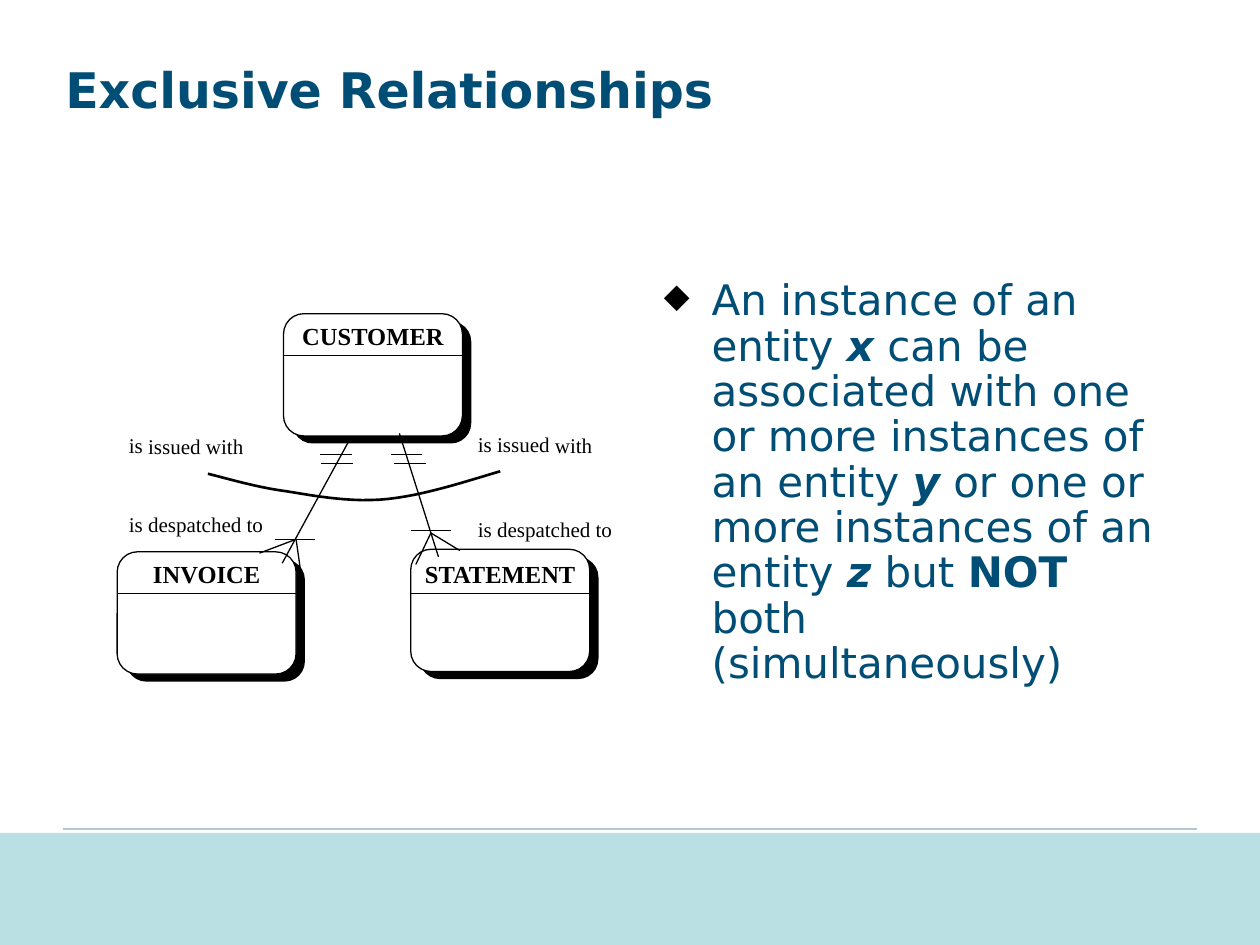
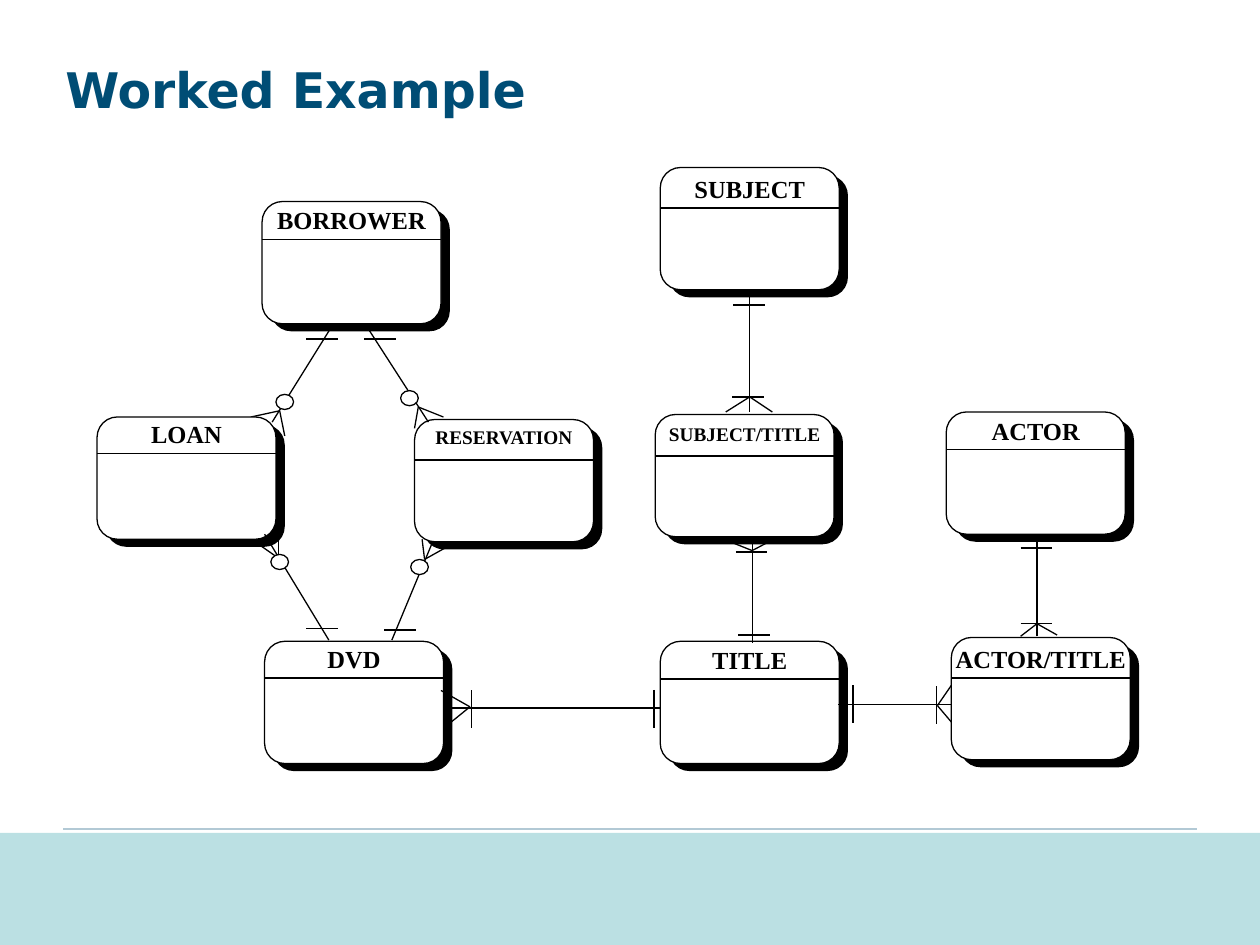
"""Build two slides on entity relationships with crow's-foot diagrams."""
from lxml.etree import SubElement
from pptx import Presentation
from pptx.dml.color import RGBColor
from pptx.enum.shapes import MSO_CONNECTOR, MSO_SHAPE
from pptx.enum.text import PP_ALIGN
from pptx.oxml.ns import qn
from pptx.util import Emu, Inches, Pt

COLUMNS, ROWS = 100, 75
INK, NAVY, PAPER = "000000", "004D75", "FFFFFF"
RULE, BAND = "B2C9D5", "BBE0E3"
HEADING_FONT, DIAGRAM_FONT = "DejaVu Sans", "Times New Roman"
CARD_WIDTH, CARD_HEIGHT = 14.2, 9.7


def color(hex_code):
    return RGBColor.from_string(hex_code)


def bezier(start, control_a, control_b, end, steps=12):
    """Return the points of a cubic curve after its start."""
    points = []
    for step in range(1, steps + 1):
        t = step / steps
        weights = ((1 - t) ** 3, 3 * t * (1 - t) ** 2, 3 * t ** 2 * (1 - t), t ** 3)
        corners = (start, control_a, control_b, end)
        points.append(tuple(sum(w * c[axis] for w, c in zip(weights, corners)) for axis in (0, 1)))
    return points


def write(frame, runs, font=DIAGRAM_FONT, size=12, ink=INK, bold=False,
          align=PP_ALIGN.LEFT, spacing=None, bullet=None):
    """Fill a text frame with (text, bold, italic) runs or a plain string."""
    frame.word_wrap = True
    paragraph = frame.paragraphs[0]
    if bullet:
        properties = paragraph._p.get_or_add_pPr()
        properties.set("marL", str(Inches(0.38)))
        properties.set("indent", str(Inches(-0.38)))
        bullet_color = SubElement(properties, qn("a:buClr"))
        SubElement(bullet_color, qn("a:srgbClr"), val=INK)
        SubElement(properties, qn("a:buSzPct"), val="80000")
        SubElement(properties, qn("a:buChar"), char=bullet)
    paragraph.alignment = align
    if spacing:
        paragraph.line_spacing = spacing
    for words, heavy, slanted in [(runs, bold, False)] if isinstance(runs, str) else runs:
        run = paragraph.add_run()
        run.text = words
        run.font.name, run.font.size = font, Pt(size)
        run.font.bold, run.font.italic = heavy, slanted
        run.font.color.rgb = color(ink)


class Deck:
    """Hold the shared style and the slide being drawn, on a 100 by 75 grid."""

    def __init__(self):
        self.deck = Presentation()
        self.deck.slide_width, self.deck.slide_height = Inches(10), Inches(7.5)
        self.column = self.deck.slide_width / COLUMNS
        self.row = self.deck.slide_height / ROWS
        self.shapes = None

    def grid(self, x, y):
        return Emu(round(x * self.column)), Emu(round(y * self.row))

    def slide(self, title):
        """Start a slide with its rule and title."""
        self.shapes = self.deck.slides.add_slide(self.deck.slide_layouts[6]).shapes
        self.line((5, 65.8), (95, 65.8), RULE, 1.25)
        self.text((4.2, 4.2, 90.8, 11.7), title, font=HEADING_FONT, size=28, ink=NAVY, bold=True)

    def band(self):
        self.shape(MSO_SHAPE.RECTANGLE, (0, 66.1, COLUMNS, ROWS - 66.1), BAND)

    def text(self, box, runs, turn=0, **style):
        x, y, width, height = box
        holder = self.shapes.add_textbox(*self.grid(x, y), *self.grid(width, height))
        holder.rotation = turn
        write(holder.text_frame, runs, **style)

    def line(self, start, end, ink=INK, weight=0.75):
        stroke = self.shapes.add_connector(MSO_CONNECTOR.STRAIGHT, *self.grid(*start), *self.grid(*end))
        stroke.line.color.rgb = color(ink)
        stroke.line.width = Pt(weight)
        SubElement(stroke._element.spPr, qn("a:effectLst"))

    def shape(self, preset, box, fill, outline=None):
        x, y, width, height = box
        figure = self.shapes.add_shape(preset, *self.grid(x, y), *self.grid(width, height))
        figure.shadow.inherit = False
        figure.fill.solid()
        figure.fill.fore_color.rgb = color(fill)
        if outline:
            figure.line.color.rgb = color(outline)
            figure.line.width = Pt(0.75)
        else:
            figure.line.fill.background()

    def curve(self, start, *segments):
        """Draw an open curve through cubic segments."""
        points = [start]
        for segment in segments:
            points += bezier(points[-1], *segment)
        outline = self.shapes.build_freeform(*self.grid(*start))
        outline.add_line_segments([self.grid(*point) for point in points[1:]], close=False)
        arc = outline.convert_to_shape()
        arc.shadow.inherit = False
        arc.fill.background()
        arc.line.color.rgb = color(INK)
        arc.line.width = Pt(1.5)

    def entity(self, name, x, y, header, size=14, label_width=15.2):
        """Draw an entity card with a hard shadow and a ruled header."""
        card = MSO_SHAPE.FLOWCHART_ALTERNATE_PROCESS
        self.shape(card, (x + 0.7, y + 0.6, CARD_WIDTH, CARD_HEIGHT), INK)
        self.shape(card, (x, y, CARD_WIDTH, CARD_HEIGHT), PAPER, INK)
        self.line((x, header), (x + CARD_WIDTH, header))
        label_left = x + (CARD_WIDTH - label_width) / 2
        self.text((label_left, header - 3.2, label_width, 3.6), name,
                  size=size, bold=True, align=PP_ALIGN.CENTER)

    def bar(self, center, length=2.5, upright=False):
        x, y = center
        dx, dy = (0, length / 2) if upright else (length / 2, 0)
        self.line((x - dx, y - dy), (x + dx, y + dy))

    def relation(self, stem, tip, toes, bars, ring=None, upright=False):
        """Draw a stem, a crow's foot, its cardinality bars and an optional ring."""
        self.line(*stem)
        for toe in toes:
            self.line(tip, toe)
        for center in bars:
            self.bar(center, 3 if upright else 2.5, upright)
        if ring:
            self.shape(MSO_SHAPE.OVAL, (*ring, 1.4, 1.2), PAPER, INK)


def exclusive_relationships(deck):
    """Draw the slide on exclusive relationships."""
    deck.slide("Exclusive Relationships")
    deck.text((51.7, 21.7, 41.7, 33.7), [
        ("An instance of an entity ", False, False), ("x", True, True),
        (" can be associated with one or more instances of an entity ", False, False),
        ("y", True, True), (" or one or more instances of an entity ", False, False),
        ("z", True, True), (" but ", False, False), ("NOT", True, False),
        (" both (simultaneously)", False, False),
    ], font=HEADING_FONT, size=24, ink=NAVY, spacing=0.9, bullet="◆")
    deck.curve((16.5, 37.6),
               ((18.5, 38.1), (20.5, 38.7), (22.8, 39)),
               ((25.2, 39.4), (28, 39.9), (30.8, 39.6)),
               ((33.6, 39.3), (36.7, 38.3), (39.7, 37.4)))
    for name, x, y, header in (("CUSTOMER", 22.5, 24.9, 28.2),
                               ("INVOICE", 9.3, 43.8, 47.1),
                               ("STATEMENT", 32.6, 43.6, 47.1)):
        deck.entity(name, x, y, header)
    deck.relation(((34.8, 44.2), (31.7, 34.4)), (34.2, 42.3), [(33, 44.8), (36.5, 43.7)],
                  [(32.25, 36.1), (32.55, 36.8)])
    deck.relation(((22.4, 44.7), (27.8, 34.8)), (23.5, 42.8), [(20.6, 43.9), (23.9, 45.6)],
                  [(26.65, 36.1), (26.75, 36.8)])
    for center in ((34.2, 42.1), (23.4, 42.8)):
        deck.bar(center, 3.2)
    for x, issued, despatched in ((9.25, 33.9, 40.1), (36.95, 33.8, 40.5)):
        deck.text((x, issued, 11.9, 3), "is issued with", turn=0.3)
        deck.text((x, despatched, 14.7, 3), "is despatched to", turn=0.3)
    deck.band()


def worked_example(deck):
    """Draw the slide with the lending library model."""
    deck.slide("Worked Example")
    deck.relation(((21.6, 33.5), (26.4, 25.8)), (22.2, 32.6), [(19.9, 33.1), (22.6, 34.6)],
                  [(25.55, 26.9)], ring=(21.9, 31.3))
    for name, x, y, header in (("BORROWER", 20.8, 16, 19),
                               ("SUBJECT", 52.4, 13.3, 16.5),
                               ("DVD", 21, 50.9, 53.8),
                               ("LOAN", 7.7, 33.1, 36),
                               ("TITLE", 52.4, 50.9, 53.9),
                               ("ACTOR", 75.1, 32.7, 35.7)):
        deck.entity(name, x, y, header)
    deck.entity("RESERVATION", 32.9, 33.3, 36.5, size=11, label_width=16.6)
    deck.entity("ACTOR/TITLE", 75.5, 50.6, 53.8, label_width=16.2)
    deck.entity("SUBJECT/TITLE", 52, 32.9, 36.2, size=11, label_width=18.1)

    deck.relation(((34, 33.5), (29.1, 25.9)), (33.2, 32.3), [(32.9, 34), (35.2, 33.1)],
                  [(30.15, 26.9)], ring=(31.8, 31))
    deck.relation(((26.1, 50.8), (21, 42.4)), (22.1, 44.3), [(20.1, 42.9), (22.1, 41.1)],
                  [(25.55, 49.9)], ring=(21.5, 44))
    deck.relation(((31.1, 50.8), (34.3, 43.1)), (33.7, 44.4), [(33.5, 42.8), (36.2, 43)],
                  [(31.75, 50)], ring=(32.6, 44.4))
    deck.relation(((59.7, 51), (59.7, 42.8)), (59.7, 43.7), [(57.2, 42.7), (61.6, 42.7)],
                  [(59.85, 50.4), (59.65, 43.8)])
    deck.relation(((59.5, 32.7), (59.5, 23.4)), (59.5, 31.5), [(57.6, 32.7), (61.3, 32.7)],
                  [(59.45, 24.2), (59.35, 31.5)])
    deck.relation(((82.3, 50.5), (82.3, 42.5)), (82.3, 49.5), [(83.9, 50.4), (81, 50.5)],
                  [(82.25, 49.5), (82.25, 43.5)])
    deck.relation(((35.2, 56.2), (52.4, 56.2)), (37.3, 56.1), [(35.2, 57.8), (35, 54.8)],
                  [(37.4, 56.3), (51.9, 56.25)], upright=True)
    deck.relation(((75.5, 55.9), (66.5, 55.9)), (74.4, 56), [(75.5, 54.4), (75.5, 57.3)],
                  [(67.7, 55.9), (74.3, 55.95)], upright=True)
    deck.band()


def main():
    """Build both slides and save the presentation."""
    deck = Deck()
    exclusive_relationships(deck)
    worked_example(deck)
    deck.deck.save("out.pptx")


if __name__ == "__main__":
    main()
